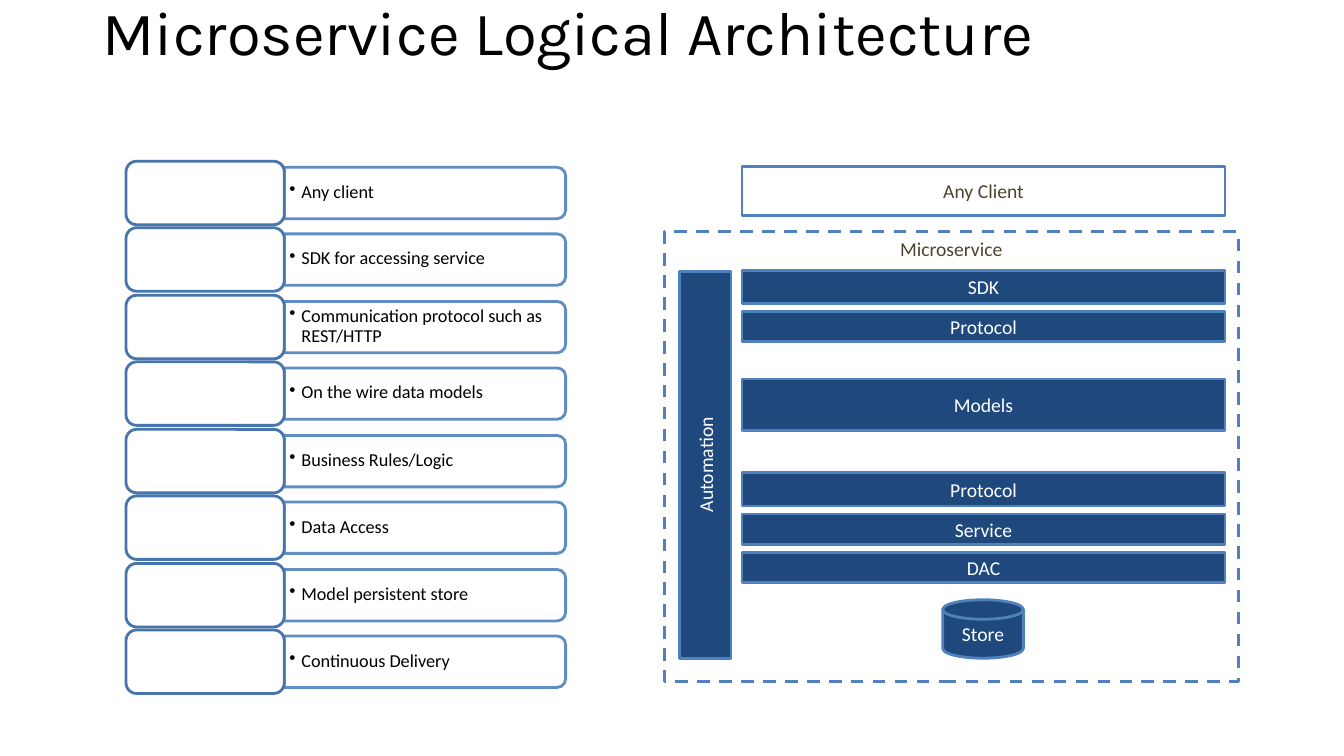
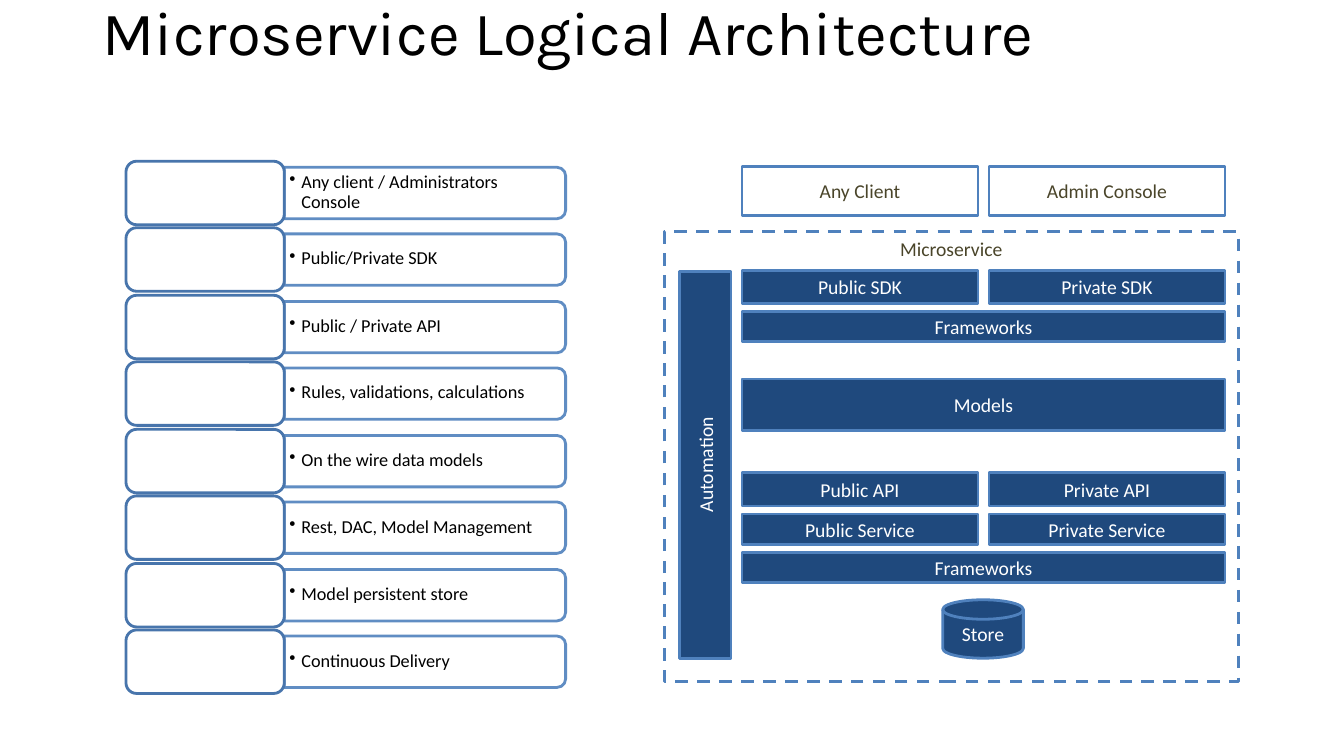
from lxml import etree
from pptx import Presentation
from pptx.dml.color import RGBColor
from pptx.enum.dml import MSO_LINE
from pptx.enum.shapes import MSO_SHAPE as Shape
from pptx.enum.text import MSO_ANCHOR as Anchor, PP_ALIGN as Align
from pptx.oxml.ns import qn
from pptx.util import Emu, Pt

# Content: notes run down the left, layers hold one or two boxes per row
TITLE = "Microservice Logical Architecture"
PAGES = [
    {
        "notes": ["Any client", "SDK for accessing service",
                  "Communication protocol such as REST/HTTP",
                  "On the wire data models", "Business Rules/Logic", "Data Access",
                  "Model persistent store", "Continuous Delivery"],
        "clients": ["Any Client"],
        "layers": [["SDK"], ["Protocol"], ["Models"],
                   ["Protocol"], ["Service"], ["DAC"]],
    },
    {
        "notes": ["Any client / Administrators Console", "Public/Private SDK",
                  "Public / Private API", "Rules, validations, calculations",
                  "On the wire data models", "Rest, DAC, Model Management",
                  "Model persistent store", "Continuous Delivery"],
        "clients": ["Any Client", "Admin Console"],
        "layers": [["Public SDK", "Private SDK"], ["Frameworks"], ["Models"],
                   ["Public API", "Private API"],
                   ["Public Service", "Private Service"], ["Frameworks"]],
    },
]

# Shared style
COLORS = {"white": "FFFFFF", "black": "000000", "navy": "1F497D",
          "blue": "4F81BD", "steel": "4875AC", "olive": "4A452A"}
BODY_FONT, TITLE_FONT = "Calibri", "Karla"

# Layout in px, 100 px to the inch
PX = 9144
PAGE_W, PAGE_H = 1333, 750
NOTES_TOP, NOTES_SPAN = 160, 465
STACK_X, STACK_W, STACK_GAP = 736, 479, 11
CLIENT_ROW = (165, 49)
LAYER_ROWS = [(268, 33), (309, 30), (376, 51), (469, 33), (510, 30), (548, 30)]


def px(value):
    return Emu(int(value * PX))


def rgb(name):
    return RGBColor.from_string(COLORS[name])


def write(box, text, size=14, color="white", font=BODY_FONT, align=Align.CENTER,
          anchor=Anchor.MIDDLE, inset=(10, 5), spacing=None, bullet=False):
    frame = box.text_frame
    frame.word_wrap = True
    frame.vertical_anchor = anchor
    frame.margin_left = frame.margin_right = px(inset[0])
    frame.margin_top = frame.margin_bottom = px(inset[1])
    para = frame.paragraphs[0]
    para.alignment = align
    if spacing:
        para.line_spacing = spacing
    if bullet:
        props = para._p.get_or_add_pPr()
        props.set("marL", str(px(12)))
        props.set("indent", str(px(-12)))
        etree.SubElement(props, qn("a:buChar")).set("char", "•")
    span = para.add_run()
    span.text = text
    span.font.name = font
    span.font.size = Pt(size)
    span.font.color.rgb = rgb(color)


def add_box(page, kind, x, y, w, h, fill="navy", line="blue", width=2, turn=0):
    """Place a shape by its visible bounds; a quarter turn swaps its sides."""
    if turn:
        x, y, w, h = x + (w - h) / 2, y + (h - w) / 2, h, w
    box = page.shapes.add_shape(kind, px(x), px(y), px(w), px(h))
    box.rotation = turn
    box.shadow.inherit = False
    box.fill.solid()
    box.fill.fore_color.rgb = rgb(fill)
    box.line.color.rgb = rgb(line)
    box.line.width = Pt(width)
    return box


def add_text(page, x, y, w, h, text, **style):
    write(page.shapes.add_textbox(px(x), px(y), px(w), px(h)), text, **style)


def set_opacity(box, percent):
    for color in box._element.spPr.iter(qn("a:srgbClr")):
        etree.SubElement(color, qn("a:alpha")).set("val", str(percent * 1000))


def add_notes(page, notes):
    for index, note in enumerate(notes):
        y = NOTES_TOP + round(index * NOTES_SPAN / (len(notes) - 1))
        bar = add_box(page, Shape.ROUND_2_SAME_RECTANGLE, 282, y + 6, 279, 51,
                      fill="white", turn=90)
        set_opacity(bar, 90)
        add_text(page, 282, y + 8, 277, 46, note, size=13, color="black",
                 align=Align.LEFT, inset=(5, 3), spacing=0.9, bullet=True)
        add_box(page, Shape.ROUNDED_RECTANGLE, 125, y, 157, 63,
                fill="white", line="steel")


def add_row(page, labels, row, fill="navy", color="white"):
    y, h = row
    w = (STACK_W - STACK_GAP * (len(labels) - 1)) / len(labels)
    for index, label in enumerate(labels):
        x = STACK_X + index * (w + STACK_GAP)
        write(add_box(page, Shape.RECTANGLE, x, y, w, h, fill=fill), label, color=color)


def add_page(deck, content):
    page = deck.slides.add_slide(deck.slide_layouts[6])

    # Service boundary and title
    boundary = add_box(page, Shape.RECTANGLE, 659, 230, 569, 446,
                       fill="white", width=2.25)
    boundary.line.dash_style = MSO_LINE.DASH
    write(boundary, "Microservice", color="olive", anchor=Anchor.TOP)
    add_text(page, 92, 3, 1150, 145, TITLE, size=44, color="black", font=TITLE_FONT,
             align=Align.LEFT, anchor=Anchor.TOP, spacing=0.8)

    add_notes(page, content["notes"])

    # Clients, layers, store and automation
    add_row(page, content["clients"], CLIENT_ROW, fill="white", color="olive")
    for labels, row in zip(content["layers"], LAYER_ROWS):
        add_row(page, labels, row)
    write(add_box(page, Shape.FLOWCHART_MAGNETIC_DISK, 935, 595, 80, 58), "Store")
    write(add_box(page, Shape.RECTANGLE, 674, 269, 51, 384, turn=270), "Automation")


def main():
    deck = Presentation()
    deck.slide_width, deck.slide_height = px(PAGE_W), px(PAGE_H)
    for content in PAGES:
        add_page(deck, content)
    deck.save("out.pptx")


if __name__ == "__main__":
    main()
